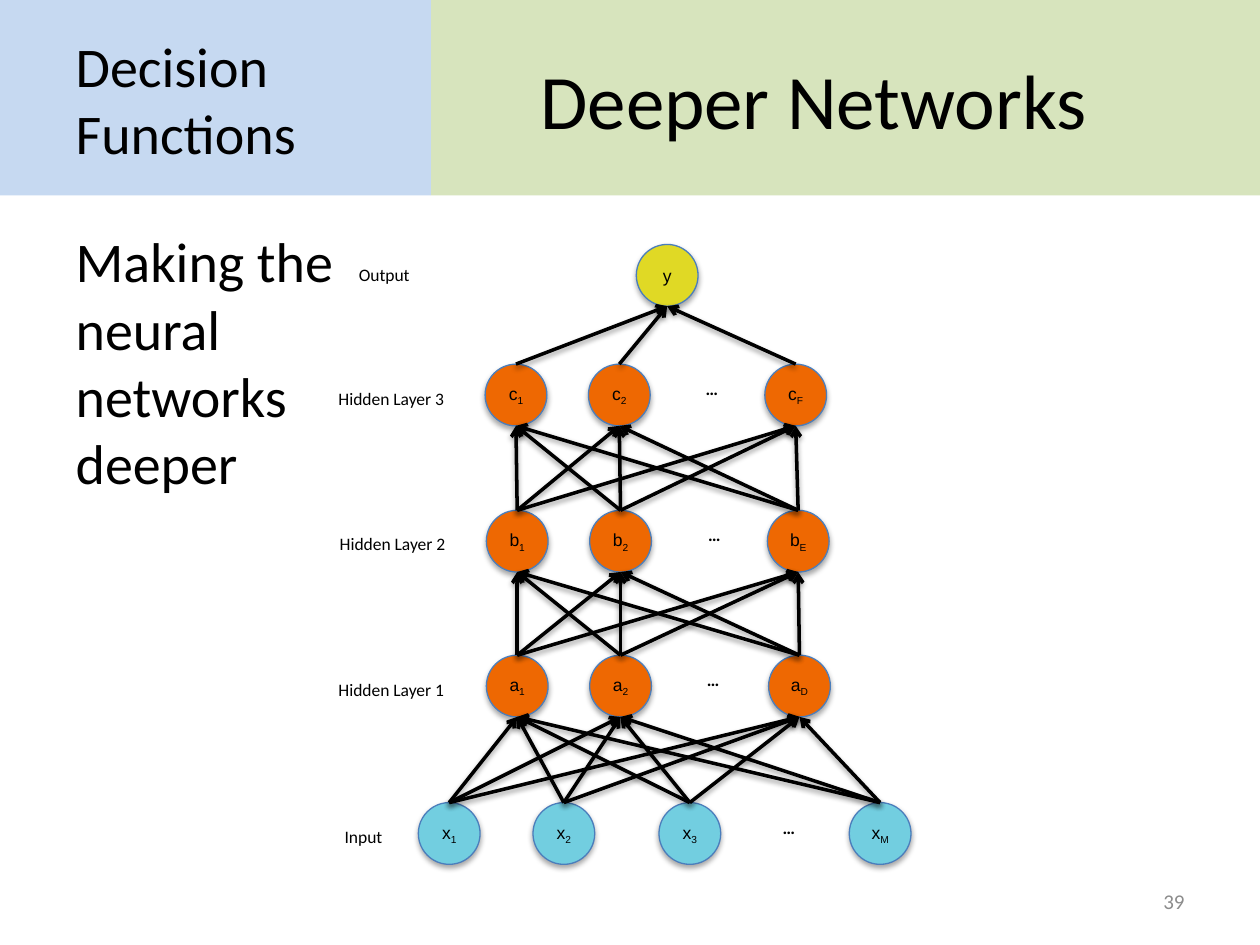
from lxml import etree
from pptx import Presentation
from pptx.dml.color import RGBColor
from pptx.enum.shapes import MSO_CONNECTOR, MSO_SHAPE
from pptx.enum.text import MSO_ANCHOR, MSO_AUTO_SIZE, PP_ALIGN
from pptx.oxml import parse_xml
from pptx.oxml.ns import nsdecls, qn
from pptx.util import Inches, Pt

RECTANGLE, CIRCLE = MSO_SHAPE.RECTANGLE, MSO_SHAPE.FLOWCHART_CONNECTOR
STRAIGHT = MSO_CONNECTOR.STRAIGHT
TOP, MIDDLE = MSO_ANCHOR.TOP, MSO_ANCHOR.MIDDLE
LEFT, CENTER, RIGHT = PP_ALIGN.LEFT, PP_ALIGN.CENTER, PP_ALIGN.RIGHT
NO_AUTOFIT = MSO_AUTO_SIZE.NONE

COLORS = {
    "black": "000000", "gray": "8C8C8C", "topic band": "C6D9F1",
    "title band": "D7E4BD", "outline": "4B7EBC",
    "input": "72CEE0", "hidden": "EE6802", "output": "E0D925",
}
BANDS = [("topic band", 0, 3.42), ("title band", 3.42, 6.58)]
BAND_HEIGHT = 1.55
PLACEHOLDERS = [
    ("Deeper Networks", (3.42, 0.16, 6.08, 1.25), 44, CENTER, MIDDLE),
    ("Making the neural networks deeper", (0.5, 1.75, 2.82, 4.95), 32, LEFT, TOP),
    ("Decision Functions", (0.5, 0.16, 2.92, 1.25), 32, LEFT, MIDDLE),
]
SLIDE_NUMBER = "39"
LAYERS = [
    {"kind": "output", "top": 1.94, "letter": "y", "nodes": [("", 5.05)], "dots": None,
     "label": ("Output", 2.75, 0.11, 0.77, LEFT)},
    {"kind": "hidden", "top": 2.89, "letter": "c", "dots": 5.49,
     "nodes": [("1", 3.85), ("2", 4.67), ("F", 6.07)],
     "label": ("Hidden Layer 3", 2.49, 0.14, 1.23, CENTER)},
    {"kind": "hidden", "top": 4.05, "letter": "b", "dots": 5.51,
     "nodes": [("1", 3.86), ("2", 4.68), ("E", 6.09)],
     "label": ("Hidden Layer 2", 2.5, 0.13, 1.23, CENTER)},
    {"kind": "hidden", "top": 5.2, "letter": "a", "dots": 5.5,
     "nodes": [("1", 3.86), ("2", 4.68), ("D", 6.1)],
     "label": ("Hidden Layer 1", 2.49, 0.14, 1.23, CENTER)},
    {"kind": "input", "top": 6.37, "letter": "x", "dots": 6.1,
     "nodes": [("1", 3.32), ("2", 4.23), ("3", 5.23), ("M", 6.74)],
     "label": ("Input", 2.5, 0.14, 0.77, CENTER)},
]
NODE_SIZE = 0.49


def color(name):
    return RGBColor.from_string(COLORS[name])


def format_paragraph(para, size, align, font="Calibri", ink="black", bold=False):
    para.alignment = align
    para.space_before = Pt(0)
    for span in para.runs:
        span.font.name = font
        span.font.size = Pt(size)
        span.font.bold = bold
        span.font.color.rgb = color(ink)


def add_text(page, text, place, size, align, anchor=TOP, **style):
    box = page.shapes.add_textbox(*map(Inches, place))
    frame = box.text_frame
    frame.word_wrap = True
    frame.vertical_anchor = anchor
    frame.text = text
    format_paragraph(frame.paragraphs[0], size, align, **style)


def add_shadow(shape, distance, opacity):
    shape._element.spPr.append(parse_xml(
        f'<a:effectLst {nsdecls("a")}><a:outerShdw blurRad="40000" dist="{distance}" '
        f'dir="5400000" rotWithShape="0"><a:srgbClr val="{COLORS["black"]}">'
        f'<a:alpha val="{opacity}"/></a:srgbClr></a:outerShdw></a:effectLst>'))


def add_band(page, name, left, width):
    band = page.shapes.add_shape(
        RECTANGLE, Inches(left), 0, Inches(width), Inches(BAND_HEIGHT))
    band.shadow.inherit = False
    band.fill.solid()
    band.fill.fore_color.rgb = color(name)
    band.line.fill.background()
    tree = page.shapes._spTree
    tree.remove(band._element)
    tree.insert(2, band._element)


def fill_placeholder(box, text, place, size, align, anchor):
    box.left, box.top, box.width, box.height = map(Inches, place)
    frame = box.text_frame
    frame.text = text
    frame.auto_size = NO_AUTOFIT
    frame.vertical_anchor = anchor
    para = frame.paragraphs[0]
    properties = para._p.get_or_add_pPr()
    properties.set("marL", "0")
    properties.set("indent", "0")
    etree.SubElement(properties, qn("a:buNone"))
    format_paragraph(para, size, align)


def add_node(page, layer, subscript, left):
    node = page.shapes.add_shape(
        CIRCLE, Inches(left), Inches(layer["top"]), Inches(NODE_SIZE), Inches(NODE_SIZE))
    node.fill.solid()
    node.fill.fore_color.rgb = color(layer["kind"])
    node.line.color.rgb = color("outline")
    node.line.width = Pt(0.75)
    add_shadow(node, 23000, 35000)
    frame = node.text_frame
    frame.margin_left = frame.margin_right = 0
    frame.margin_top = frame.margin_bottom = 0
    frame.word_wrap = False
    frame.vertical_anchor = MIDDLE
    para = frame.paragraphs[0]
    para.text = layer["letter"]
    if subscript:
        span = para.add_run()
        span.text = subscript
        span._r.get_or_add_rPr().set("baseline", "-25000")
    format_paragraph(para, 10, CENTER, font="Arial")


def add_arrow(page, upper_x, upper_y, lower_x, lower_y):
    arrow = page.shapes.add_connector(
        STRAIGHT, *map(Inches, (upper_x, upper_y, lower_x, lower_y)))
    arrow.line.color.rgb = color("black")
    arrow.line.width = Pt(2)
    etree.SubElement(arrow.line._get_or_add_ln(), qn("a:headEnd"), type="arrow")
    add_shadow(arrow, 20000, 38000)


def add_layer(page, layer):
    top = layer["top"]
    for subscript, left in layer["nodes"]:
        add_node(page, layer, subscript, left)
    if layer["dots"]:
        add_text(page, "…", (layer["dots"], top + 0.06, 0.32, 0.27), 10, CENTER,
                 MIDDLE, bold=True)
    text, left, drop, width, align = layer["label"]
    add_text(page, text, (left, top + drop, width, 0.27), 10, align)


def connect_layers(page, upper, lower):
    half = NODE_SIZE / 2
    for _, upper_left in upper["nodes"]:
        for _, lower_left in lower["nodes"]:
            add_arrow(page, upper_left + half, upper["top"] + NODE_SIZE,
                      lower_left + half, lower["top"])


def main():
    deck = Presentation()
    deck.slide_width, deck.slide_height = Inches(10), Inches(7.5)
    page = deck.slides.add_slide(deck.slide_layouts[3])
    for band in BANDS:
        add_band(page, *band)
    for box, content in zip(page.placeholders, PLACEHOLDERS):
        fill_placeholder(box, *content)
    add_text(page, SLIDE_NUMBER, (7.17, 6.95, 2.33, 0.4), 12, RIGHT, MIDDLE, ink="gray")
    for layer in LAYERS:
        add_layer(page, layer)
    for upper, lower in zip(LAYERS, LAYERS[1:]):
        connect_layers(page, upper, lower)
    deck.save("out.pptx")


if __name__ == "__main__":
    main()
